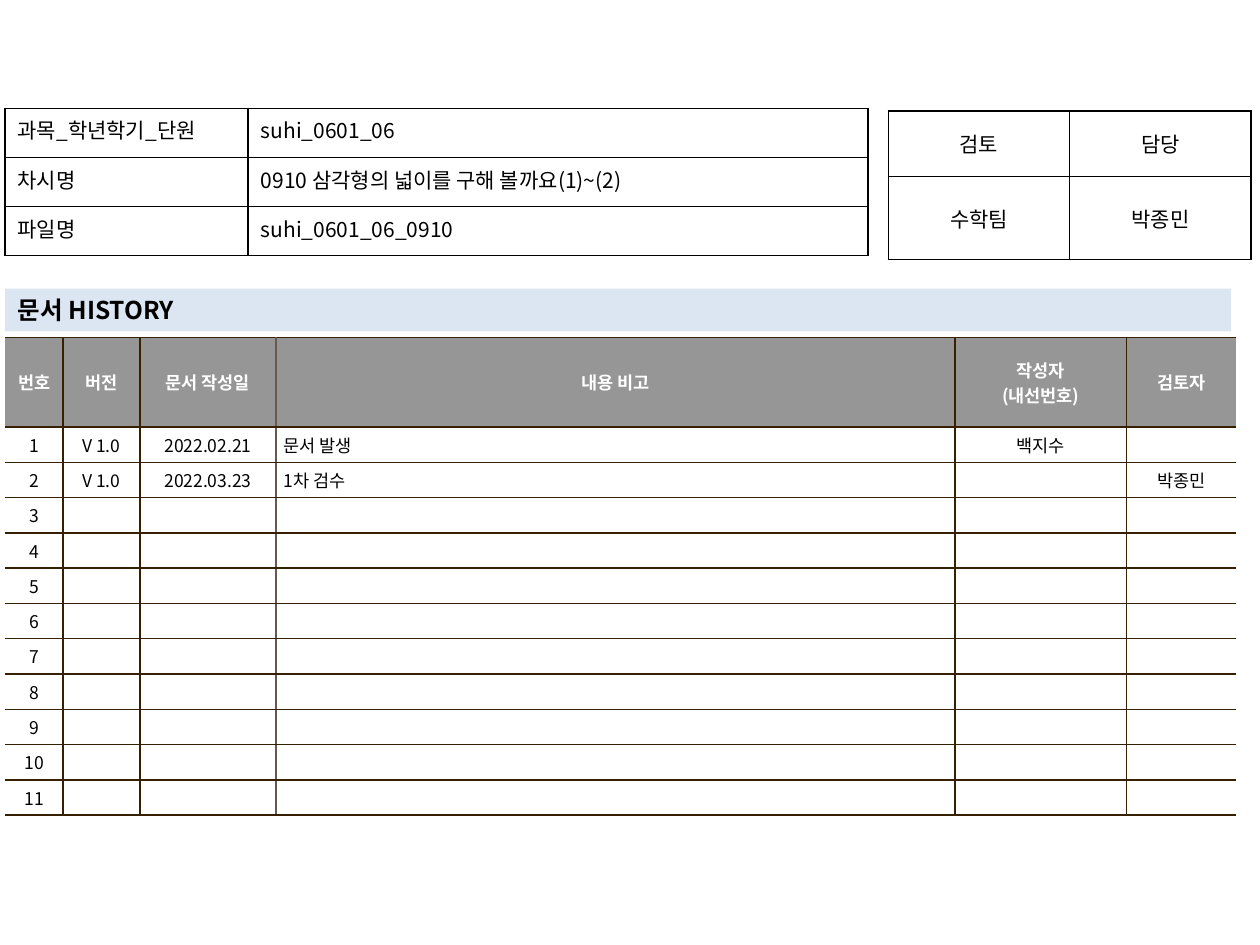
from lxml.etree import SubElement
from pptx import Presentation
from pptx.dml.color import RGBColor
from pptx.enum.text import MSO_ANCHOR, MSO_AUTO_SIZE, PP_ALIGN
from pptx.oxml.ns import qn
from pptx.util import Inches, Pt

THEME = {
    "font": "Noto Sans CJK KR",
    "black": "000000",
    "white": "FFFFFF",
    "band": "DCE6F2",
    "header": "969696",
    "rule": "362000",
    "soft_rule": "645B4C",
    "heading_size": 14,
    "info_size": 12,
    "history_size": 10,
}


def write(frame, text, size, color, bold=False, align=PP_ALIGN.LEFT):
    for index, line in enumerate(text.split("\n")):
        para = frame.paragraphs[0] if index == 0 else frame.add_paragraph()
        para.alignment = align
        if not line:
            SubElement(para._p, qn("a:endParaRPr"), sz=str(size * 100))
            continue
        span = para.add_run()
        span.text = line
        formats = {"name": THEME["font"], "size": Pt(size), "bold": bold}
        for name, value in formats.items():
            setattr(span.font, name, value)
        span.font.color.rgb = RGBColor.from_string(color)
        SubElement(span._r.get_or_add_rPr(), qn("a:ea"), typeface=THEME["font"])


def make_table(page, place, widths, heights):
    """Add an unbanded table whose columns and rows have the given inches."""
    table = page.shapes.add_table(
        len(heights), len(widths), Inches(place[0]), Inches(place[1]),
        Inches(sum(widths)), Inches(sum(heights))).table
    table.first_row = table.horz_banding = False
    for column, width in zip(table.columns, widths):
        column.width = Inches(width)
    for row, height in zip(table.rows, heights):
        row.height = Inches(height)
    return table


deck = Presentation()
deck.slide_width, deck.slide_height = Inches(10), Inches(7.5)
page = deck.slides.add_slide(deck.slide_layouts[5])

# Section heading
heading = page.shapes.title
placement = {"left": 0.04, "top": 2.29, "width": 9.73, "height": 0.34}
for name, value in placement.items():
    setattr(heading, name, Inches(value))
heading.fill.solid()
heading.fill.fore_color.rgb = RGBColor.from_string(THEME["band"])
heading.text_frame.auto_size = MSO_AUTO_SIZE.NONE
heading.text_frame.vertical_anchor = MSO_ANCHOR.MIDDLE
write(heading.text_frame, "문서 HISTORY", THEME["heading_size"], THEME["black"], bold=True)

# Document history
history_rows = [
    ["번호", "버전", "문서 작성일", "내용 비고", "작성자\n(내선번호)", "검토자"],
    ["1", "V 1.0", "2022.02.21", "문서 발생", "백지수", ""],
    ["2", "V 1.0", "2022.03.23", "1차 검수", "", "박종민"],
]
history_rows += [[str(number), "", "", "", "", ""] for number in range(3, 12)]
history = make_table(page, (0.04, 2.68), [0.46, 0.61, 1.08, 5.39, 1.36, 0.87],
                     [0.71] + [0.28] * 11)
history_edges = [None, THEME["rule"], THEME["rule"], THEME["soft_rule"],
                 THEME["rule"], THEME["rule"], None]
NOTE_COLUMN = 3

# Review sign-off and lesson details
review_rows = [["검토", "담당"], ["수학팀", "박종민"]]
review = make_table(page, (7.05, 0.88), [1.44, 1.44], [0.52, 0.66])
lesson_rows = [
    ["과목_학년학기_단원", "suhi_0601_06"],
    ["차시명", "0910 삼각형의 넓이를 구해 볼까요(1)~(2)"],
    ["파일명", "suhi_0601_06_0910"],
]
lesson = make_table(page, (0.04, 0.86), [1.93, 4.92], [0.39] * 3)

black_edges = [THEME["black"]] * 3
tables = [
    (history, history_rows, history_edges, THEME["rule"], MSO_ANCHOR.MIDDLE, (0.06, 0.04)),
    (review, review_rows, black_edges, THEME["black"], MSO_ANCHOR.MIDDLE, (0.1, 0.05)),
    (lesson, lesson_rows, black_edges, THEME["black"], MSO_ANCHOR.TOP, (0.1, 0.05)),
]
for table, rows, edges, rule, anchor, (side, end) in tables:
    for row_index, texts in enumerate(rows):
        for column_index, text in enumerate(texts):
            cell = table.cell(row_index, column_index)
            formats = {"margin_left": Inches(side), "margin_right": Inches(side),
                       "margin_top": Inches(end), "margin_bottom": Inches(end),
                       "vertical_anchor": anchor}
            for name, value in formats.items():
                setattr(cell, name, value)

            is_header = table is history and row_index == 0
            is_note = table is history and column_index == NOTE_COLUMN and not is_header
            left_aligned = table is lesson or is_note
            write(cell.text_frame, text,
                  THEME["history_size"] if table is history else THEME["info_size"],
                  THEME["white"] if is_header else THEME["black"],
                  bold=is_header,
                  align=PP_ALIGN.LEFT if left_aligned else PP_ALIGN.CENTER)

            borders = {"a:lnL": edges[column_index], "a:lnR": edges[column_index + 1],
                       "a:lnT": rule, "a:lnB": rule}
            properties = cell._tc.get_or_add_tcPr()
            for tag, color in borders.items():
                line = SubElement(properties, qn(tag), w=str(Pt(1)))
                if color:
                    SubElement(SubElement(line, qn("a:solidFill")), qn("a:srgbClr"), val=color)
                else:
                    SubElement(line, qn("a:noFill"))
            if table is history:
                cell.fill.solid()
                cell.fill.fore_color.rgb = RGBColor.from_string(
                    THEME["header"] if is_header else THEME["white"])
            else:
                cell.fill.background()

deck.save("out.pptx")
